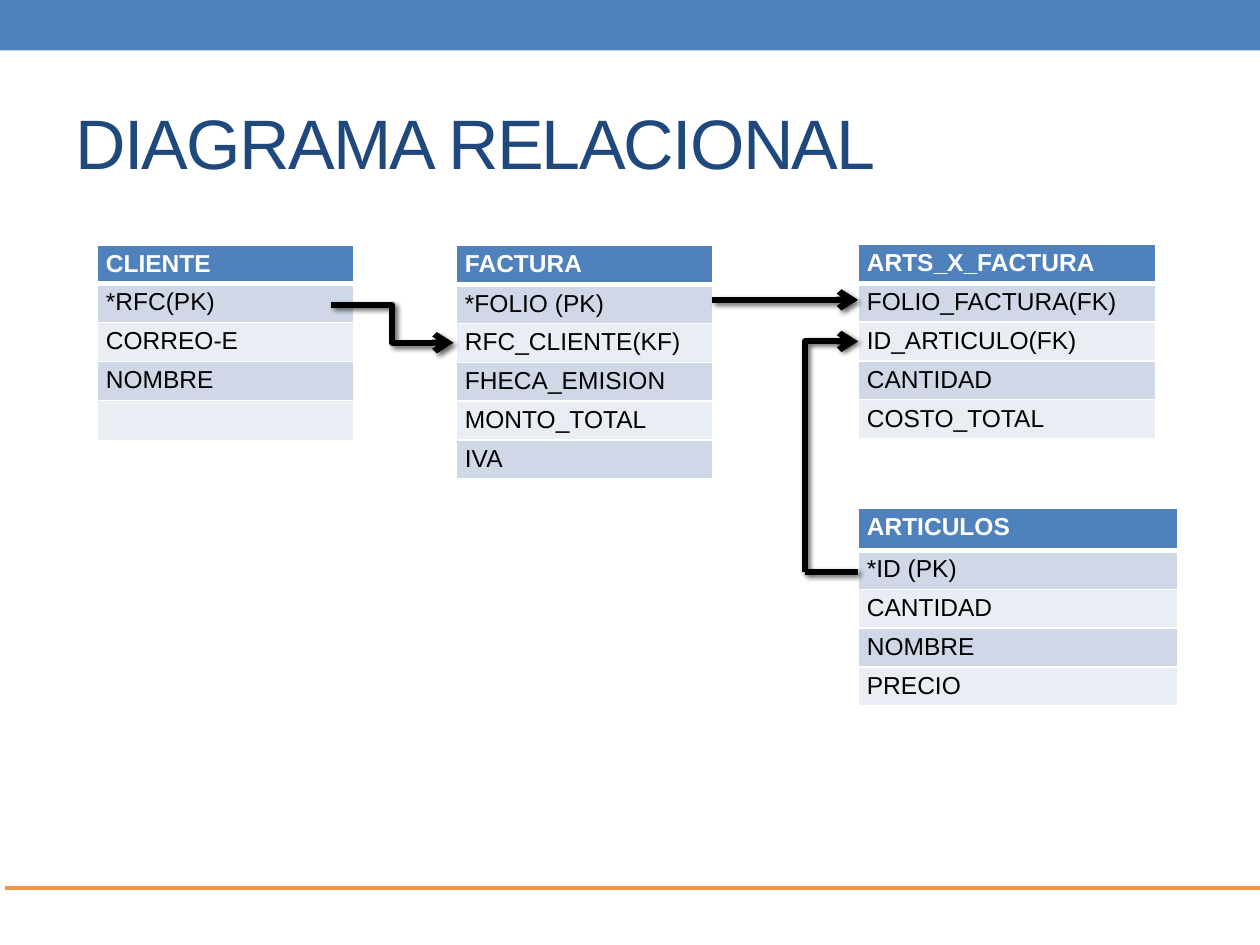
"""Build the relational diagram slide."""
from dataclasses import dataclass

from lxml import etree
from pptx import Presentation
from pptx.dml.color import RGBColor
from pptx.enum.shapes import MSO_CONNECTOR, MSO_SHAPE
from pptx.enum.text import MSO_ANCHOR
from pptx.oxml.ns import qn
from pptx.util import Inches, Pt

STRAIGHT, ELBOW = MSO_CONNECTOR.STRAIGHT, MSO_CONNECTOR.ELBOW
RECTANGLE, MIDDLE = MSO_SHAPE.RECTANGLE, MSO_ANCHOR.MIDDLE


@dataclass(frozen=True)
class Theme:
    """Colours, font and sizes of the slide."""
    font: str = "Arial"
    blue: str = "4F81BD"
    navy: str = "1F497D"
    orange: str = "F79646"
    white: str = "FFFFFF"
    black: str = "000000"
    bands: tuple = ("D0D8E8", "E9EDF4")
    title_size: int = 40
    cell_size: int = 14
    rule_width: float = 2.25
    link_width: float = 3.5


THEME = Theme()

ENTITIES = (
    ((0.77, 1.95, 2.04, 1.54), 0.3, ("CLIENTE", "*RFC(PK)", "CORREO-E", "NOMBRE", "")),
    ((3.62, 1.95, 2.04, 1.85), 0.31,
     ("FACTURA", "*FOLIO (PK)", "RFC_CLIENTE(KF)", "FHECA_EMISION", "MONTO_TOTAL", "IVA")),
    ((6.81, 1.94, 2.36, 1.54), 0.31,
     ("ARTS_X_FACTURA", "FOLIO_FACTURA(FK)", "ID_ARTICULO(FK)", "CANTIDAD", "COSTO_TOTAL")),
    ((6.81, 4.03, 2.54, 1.57), 0.34,
     ("ARTICULOS", "*ID (PK)", "CANTIDAD", "NOMBRE", "PRECIO")),
)


def apply(target, settings):
    """Set every attribute named in settings on target."""
    for name, value in settings.items():
        setattr(target, name, value)


def rgb(code):
    """Return the colour for a hex code."""
    return RGBColor.from_string(code)


def add_node(parent, tag, **attributes):
    """Append a DrawingML element and return it."""
    return etree.SubElement(parent, qn(f"a:{tag}"), attributes)


def format_font(font, size, color, bold=False):
    """Give a font the theme typeface, a size and a colour."""
    apply(font, {"name": THEME.font, "size": Pt(size), "bold": bold})
    font.color.rgb = rgb(color)


def add_line(slide, kind, start, end, color, width):
    """Draw a connector between two points."""
    line = slide.shapes.add_connector(kind, *map(Inches, start + end))
    line.line.color.rgb = rgb(color)
    line.line.width = Pt(width)
    return line


def add_frame(slide, banner_box, rule_start, rule_end):
    """Draw the top banner and the bottom rule."""
    banner = slide.shapes.add_shape(RECTANGLE, *map(Inches, banner_box))
    banner.shadow.inherit = False
    banner.fill.solid()
    banner.fill.fore_color.rgb = rgb(THEME.blue)
    banner.line.fill.background()
    rule = add_line(slide, STRAIGHT, rule_start, rule_end, THEME.orange, THEME.rule_width)
    add_node(rule._element.spPr, "effectLst")


def add_title(slide, box, text):
    """Place the slide title."""
    frame = slide.shapes.add_textbox(*map(Inches, box)).text_frame
    apply(frame, {"word_wrap": True, "vertical_anchor": MIDDLE})
    run = frame.paragraphs[0].add_run()
    run.text = text
    format_font(run.font, THEME.title_size, THEME.navy)
    run._r.get_or_add_rPr().set("spc", "-100")


def add_borders(cell, top, bottom):
    """Give a cell white borders with the given top and bottom widths."""
    properties = cell._tc.get_or_add_tcPr()
    for side, width in {"L": 1, "R": 1, "T": top, "B": bottom}.items():
        border = add_node(properties, f"ln{side}", w=str(Pt(width)))
        add_node(add_node(border, "solidFill"), "srgbClr", val=THEME.white)


def format_cell(cell, text, row):
    """Write one cell, as a header in row 0 and as a banded field below."""
    header = row == 0
    apply(cell, {"margin_left": Inches(0.07), "margin_right": Inches(0.07),
                 "margin_top": Inches(0.04), "margin_bottom": Inches(0.04)})
    add_borders(cell, 3 if row == 1 else 1, 3 if header else 1)
    cell.fill.solid()
    cell.fill.fore_color.rgb = rgb(THEME.blue if header else THEME.bands[(row - 1) % 2])
    paragraph = cell.text_frame.paragraphs[0]
    if text:
        run = paragraph.add_run()
        run.text = text
        format_font(run.font, THEME.cell_size, THEME.white if header else THEME.black, header)
    else:
        add_node(paragraph._p, "endParaRPr", sz=str(THEME.cell_size * 100))


def add_entity(slide, box, header_height, fields):
    """Draw one entity as a table with a header and equal field rows."""
    table = slide.shapes.add_table(len(fields), 1, *map(Inches, box)).table
    table.columns[0].width = Inches(box[2])
    field_height = (box[3] - header_height) / (len(fields) - 1)
    for row, text in enumerate(fields):
        table.rows[row].height = Inches(field_height if row else header_height)
        format_cell(table.cell(row, 0), text, row)


def add_link(slide, kind, start, end, arrow=True):
    """Draw a shadowed relation line, with an arrowhead at its end if asked."""
    link = add_line(slide, kind, start, end, THEME.black, THEME.link_width)
    properties = link._element.spPr
    if arrow:
        add_node(link.line._get_or_add_ln(), "tailEnd", type="arrow")
    shadow = add_node(add_node(properties, "effectLst"), "outerShdw", blurRad=str(Pt(3)),
                      dist=str(Pt(2)), dir="2700000", algn="tl", rotWithShape="0")
    shadow_color = add_node(shadow, "srgbClr", val=THEME.black)
    add_node(shadow_color, "alpha", val="60000")
    return link


def add_corner_link(slide, start, end):
    """Draw a one-bend relation that goes up from start, then right to end."""
    center_x, center_y = (start[0] + end[0]) / 2, (start[1] + end[1]) / 2
    half_run, half_rise = (end[0] - start[0]) / 2, (start[1] - end[1]) / 2
    link = add_link(slide, ELBOW, (center_x + half_rise, center_y + half_run),
                    (center_x - half_rise, center_y - half_run))
    link._element.spPr.find(qn("a:prstGeom")).set("prst", "bentConnector2")
    link._element.spPr.find(qn("a:xfrm")).set("rot", "5400000")


def add_relations(slide):
    """Link the primary keys to their foreign keys."""
    article_corner = (6.39, 4.54)
    add_corner_link(slide, article_corner, (6.81, 2.71))
    add_link(slide, STRAIGHT, article_corner, (6.81, 4.54), arrow=False)
    add_link(slide, ELBOW, (2.63, 2.42), (3.6, 2.72))
    add_link(slide, STRAIGHT, (5.65, 2.38), (6.81, 2.38))


def main():
    """Build and save the slide."""
    deck = Presentation()
    apply(deck, {"slide_width": Inches(10), "slide_height": Inches(7.5)})
    slide = deck.slides.add_slide(deck.slide_layouts[6])
    add_frame(slide, (0, 0, 10, 0.4), (0.04, 7.05), (10.04, 7.05))
    for box, header_height, fields in ENTITIES:
        add_entity(slide, box, header_height, fields)
    add_relations(slide)
    add_title(slide, (0.5, 0.58, 9, 1.08), "DIAGRAMA RELACIONAL")
    deck.save("out.pptx")


if __name__ == "__main__":
    main()
